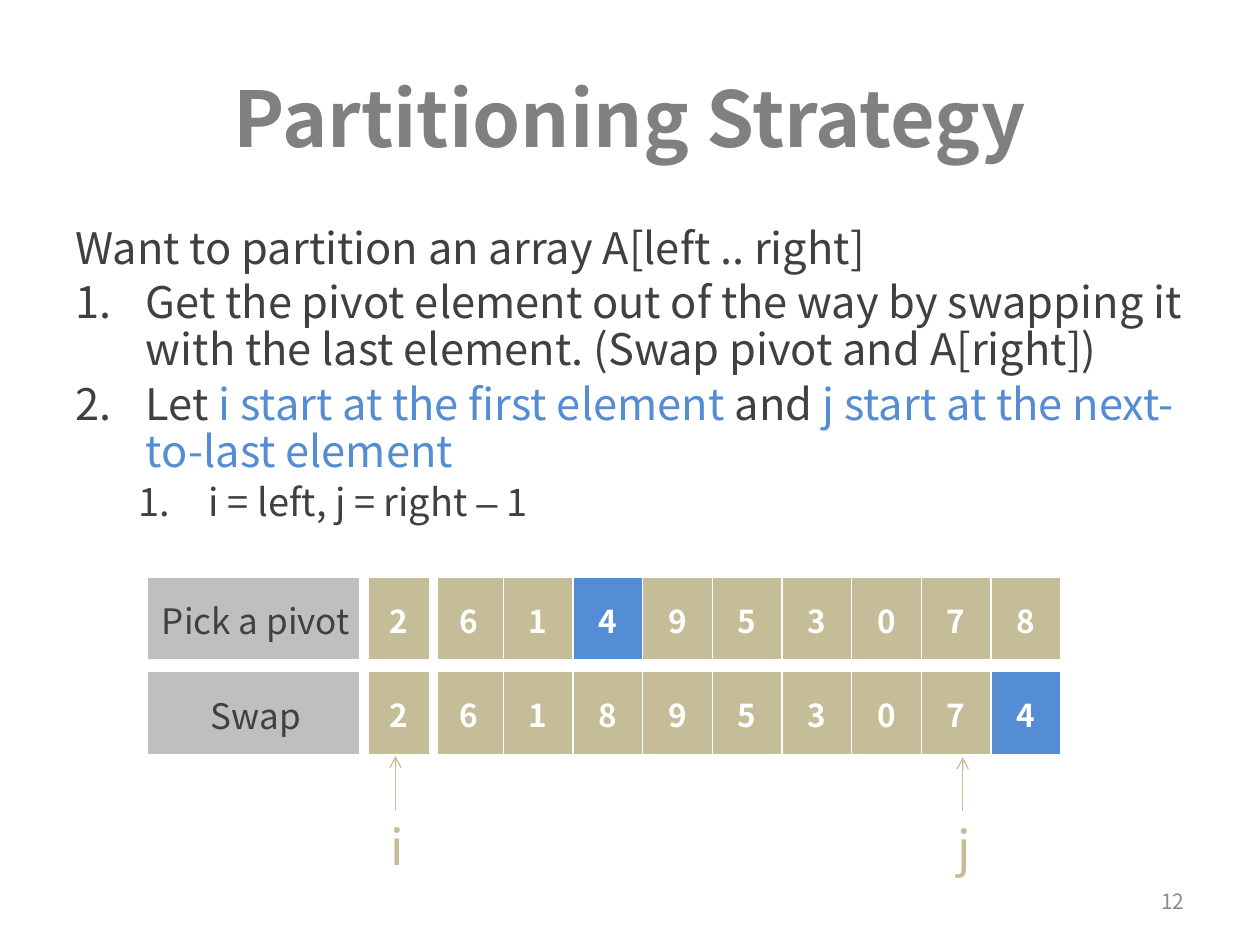
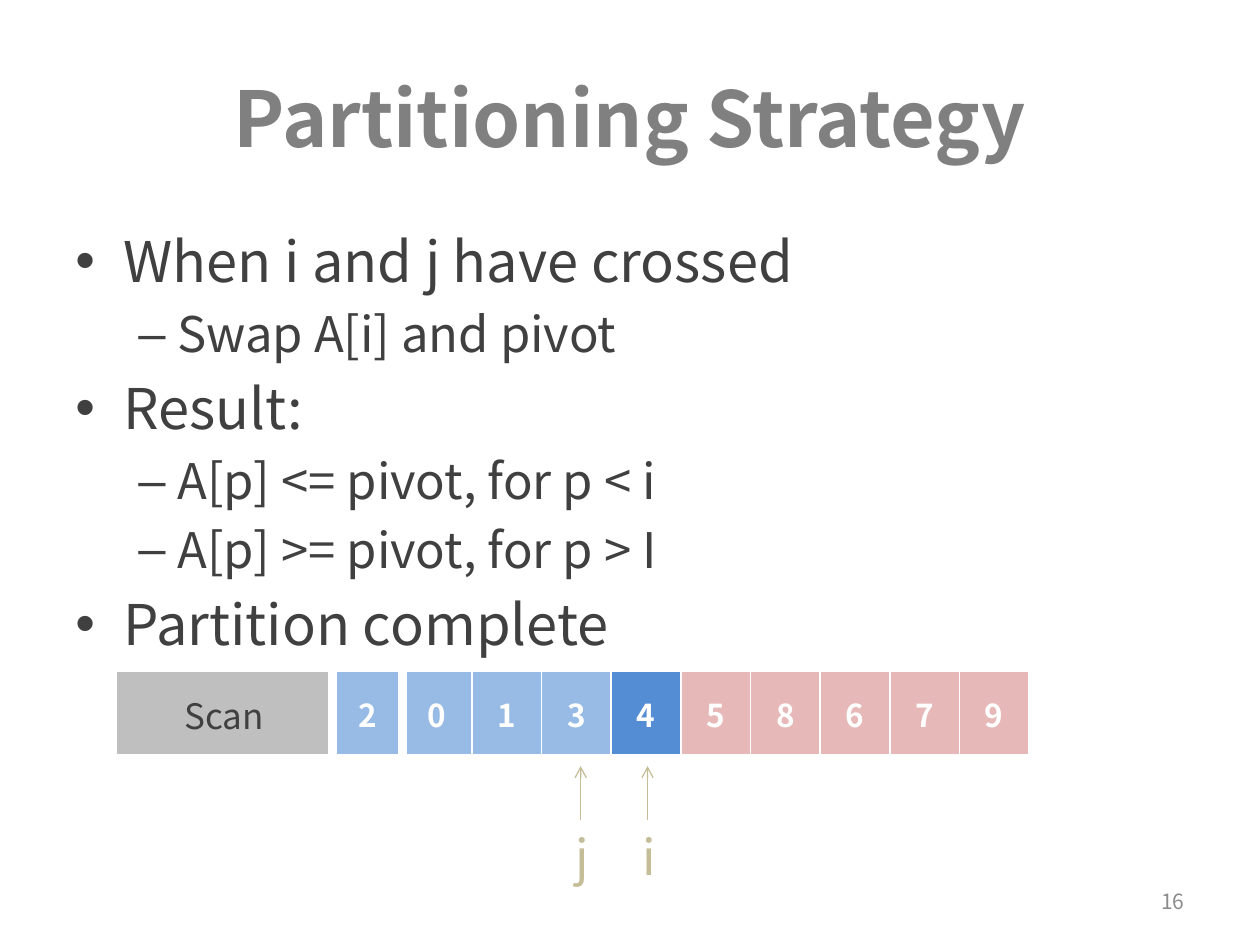
from collections import namedtuple

from lxml import etree
from pptx import Presentation
from pptx.dml.color import RGBColor
from pptx.enum.shapes import MSO_CONNECTOR
from pptx.enum.text import MSO_ANCHOR, PP_ALIGN
from pptx.oxml.ns import qn
from pptx.util import Inches, Pt

STRAIGHT = MSO_CONNECTOR.STRAIGHT
MIDDLE, TOP = MSO_ANCHOR.MIDDLE, MSO_ANCHOR.TOP
LEFT, CENTER, RIGHT = PP_ALIGN.LEFT, PP_ALIGN.CENTER, PP_ALIGN.RIGHT

FONT, SYMBOL_FONT = "Noto Sans CJK SC", "Arial"
WHITE, TITLE_GRAY, TEXT_GRAY, FOOTER_GRAY = "FFFFFF", "808080", "404040", "8C8C8C"
LABEL_GRAY, TAN, BLUE, PALE_BLUE, PINK = "BFBFBF", "C4BD97", "548DD4", "98BBE5", "E6B9B8"

Box = namedtuple("Box", "left top width height")
# Content of one paragraph: spans are (text, colour, font) tuples
Item = namedtuple("Item", "spans size level bullet margin hanging")

SLIDE_WIDTH, SLIDE_HEIGHT = 10, 7.5
MARGIN = 0.05 * SLIDE_WIDTH
CONTENT_WIDTH = SLIDE_WIDTH - 2 * MARGIN
TITLE_BOX = Box(MARGIN, 0.04 * SLIDE_HEIGHT, CONTENT_WIDTH, SLIDE_HEIGHT / 6)
FOOTER_BOX = Box(7.17, 6.95, 2.33, 0.4)
BODY_TOP = 1.75
ROW_WIDTH, ROW_HEIGHT, LABEL_WIDTH, CELL_COUNT = 7.25, 0.67, 1.72, 10
CELL_WIDTH = (ROW_WIDTH - LABEL_WIDTH) / CELL_COUNT
ARROW_LENGTH = 0.43
THIN, THICK, GAP = 1, 3, 6


def color(value):
    return RGBColor.from_string(value)


def inches(*lengths):
    return [Inches(length) for length in lengths]


def style(span, size, tone, bold=False, font=FONT):
    span.font.size = Pt(size)
    span.font.name = font
    span.font.bold = bold
    span.font.color.rgb = color(tone)


def text_frame(page, box, anchor=TOP, wrap=True):
    frame = page.shapes.add_textbox(*inches(*box)).text_frame
    frame.word_wrap = wrap
    frame.vertical_anchor = anchor
    return frame


def write(frame, text, size, tone, align, bold=False):
    frame.text = text
    para = frame.paragraphs[0]
    para.alignment = align
    style(para.runs[0], size, tone, bold)


def set_bullet(para, item):
    properties = para._p.get_or_add_pPr()
    properties.set("marL", str(Inches(item.margin)))
    properties.set("indent", str(Inches(-item.hanging)))
    if item.bullet == "1.":
        etree.SubElement(properties, qn("a:buAutoNum"), type="arabicPeriod")
    elif item.bullet:
        etree.SubElement(properties, qn("a:buFont"), typeface=SYMBOL_FONT)
        etree.SubElement(properties, qn("a:buChar"), char=item.bullet)


def add_body(page, box, items, line_spacing, gap_share):
    """Bulleted text; the gap above a paragraph is a share of its size."""
    frame = text_frame(page, box)
    for index, item in enumerate(items):
        para = frame.add_paragraph() if index else frame.paragraphs[0]
        para.level = item.level
        para.line_spacing = line_spacing
        para.space_before = Pt(gap_share * item.size if index else 0)
        set_bullet(para, item)
        for text, tone, font in item.spans:
            span = para.add_run()
            span.text = text
            style(span, item.size, tone, font=font)


def set_borders(cell, left, right):
    properties = cell._tc.get_or_add_tcPr()
    for side, width in (("L", left), ("R", right), ("T", THIN), ("B", THICK)):
        line = etree.SubElement(properties, qn("a:ln" + side), w=str(Pt(width)))
        fill = etree.SubElement(line, qn("a:solidFill"))
        etree.SubElement(fill, qn("a:srgbClr"), val=WHITE)


def add_array_row(page, box, label, values, fills):
    """A label and the array's values; wide gaps set off the first value."""
    table = page.shapes.add_table(1, CELL_COUNT + 1, *inches(*box)).table
    table.first_row = table.horz_banding = False
    table.rows[0].height = Inches(box.height)
    for index, (text, fill) in enumerate(zip([label, *values], [LABEL_GRAY, *fills])):
        is_label = index == 0
        table.columns[index].width = Inches(LABEL_WIDTH if is_label else CELL_WIDTH)
        cell = table.cell(0, index)
        cell.vertical_anchor = MIDDLE
        set_borders(cell, GAP if index in (1, 2) else THIN, GAP if index in (0, 1) else THIN)
        cell.fill.solid()
        cell.fill.fore_color.rgb = color(fill)
        size, tone = (20, TEXT_GRAY) if is_label else (18, WHITE)
        write(cell.text_frame, text, size, tone, CENTER, bold=not is_label)


def add_pointer(page, row_box, letter, column, drop):
    """An index letter with an arrow up to a column of the array row."""
    center = row_box.left + LABEL_WIDTH + column * CELL_WIDTH
    tip = row_box.top + row_box.height + drop
    base = tip + ARROW_LENGTH
    arrow = page.shapes.add_connector(STRAIGHT, *inches(center, base, center, tip))
    arrow.line.color.rgb = color(TAN)
    arrow.line.width = Pt(0.75)
    etree.SubElement(arrow.line._get_or_add_ln(), qn("a:tailEnd"), type="arrow")
    etree.SubElement(arrow._element.spPr, qn("a:effectLst"))
    frame = text_frame(page, Box(center - 0.14, base, 0.29, 0.57), wrap=False)
    write(frame, letter, 28, TAN, LEFT)


def add_page(deck, number):
    """A blank page with the shared title and page number."""
    page = deck.slides.add_slide(deck.slide_layouts[6])
    write(text_frame(page, TITLE_BOX, MIDDLE), "Partitioning Strategy", 44, TITLE_GRAY, CENTER, True)
    write(text_frame(page, FOOTER_BOX, MIDDLE), number, 12, FOOTER_GRAY, RIGHT)
    return page


def plain(text, tone=TEXT_GRAY, font=FONT):
    return text, tone, font


def step(*spans):
    return Item(spans, 24.8, 0, "1.", 0.56, 0.56)


def point(text):
    return Item([plain(text)], 32, 0, "•", 0.38, 0.38)


def subpoint(text):
    return Item([plain(text)], 28, 1, "–", 0.81, 0.31)


def build_start_page(deck):
    page = add_page(deck, "12")
    items = [
        Item([plain("Want to partition an array A[left .. right]")], 24.8, 0, None, 0, 0),
        step(plain("Get the pivot element out of the way by swapping it "
                   "with the last element. (Swap pivot and A[right])")),
        step(plain("Let "), plain("i start at the first element ", BLUE), plain("and "),
             plain("j start at the next-to-last element", BLUE)),
        Item([plain("i = left, j = right "), plain("–", font=SYMBOL_FONT), plain(" 1")],
             21.7, 1, "1.", 1.06, 0.56),
    ]
    add_body(page, Box(MARGIN, BODY_TOP, CONTENT_WIDTH, 3), items, 0.9, 0.18)

    # Array before and after the pivot moves to the end
    first_row = Box(1.17, 4.58, ROW_WIDTH, ROW_HEIGHT)
    swap_row = first_row._replace(top=first_row.top + 0.75)
    for box, label, values in ((first_row, "Pick a pivot", "2614953078"),
                               (swap_row, "Swap", "2618953074")):
        fills = [BLUE if value == "4" else TAN for value in values]
        add_array_row(page, box, label, values, fills)
    add_pointer(page, swap_row, "i", 0.45, 0)
    add_pointer(page, swap_row, "j", 8.59, 0.01)


def build_result_page(deck):
    page = add_page(deck, "16")
    items = [
        point("When i and j have crossed"),
        subpoint("Swap A[i] and pivot"),
        point("Result:"),
        subpoint("A[p] <= pivot, for p < i"),
        subpoint("A[p] >= pivot, for p > I"),
        point("Partition complete"),
    ]
    add_body(page, Box(MARGIN, BODY_TOP, CONTENT_WIDTH, 3.58), items, 1, 0.2)

    # Partitioned array: smaller values, pivot, larger values
    scan_row = Box(0.92, 5.33, ROW_WIDTH, ROW_HEIGHT)
    fills = [PALE_BLUE] * 4 + [BLUE] + [PINK] * 5
    add_array_row(page, scan_row, "Scan", "2013458679", fills)
    add_pointer(page, scan_row, "j", 3.56, 0.08)
    add_pointer(page, scan_row, "i", 4.52, 0.08)


def main():
    deck = Presentation()
    deck.slide_width, deck.slide_height = inches(SLIDE_WIDTH, SLIDE_HEIGHT)
    build_start_page(deck)
    build_result_page(deck)
    deck.save("out.pptx")


if __name__ == "__main__":
    main()
